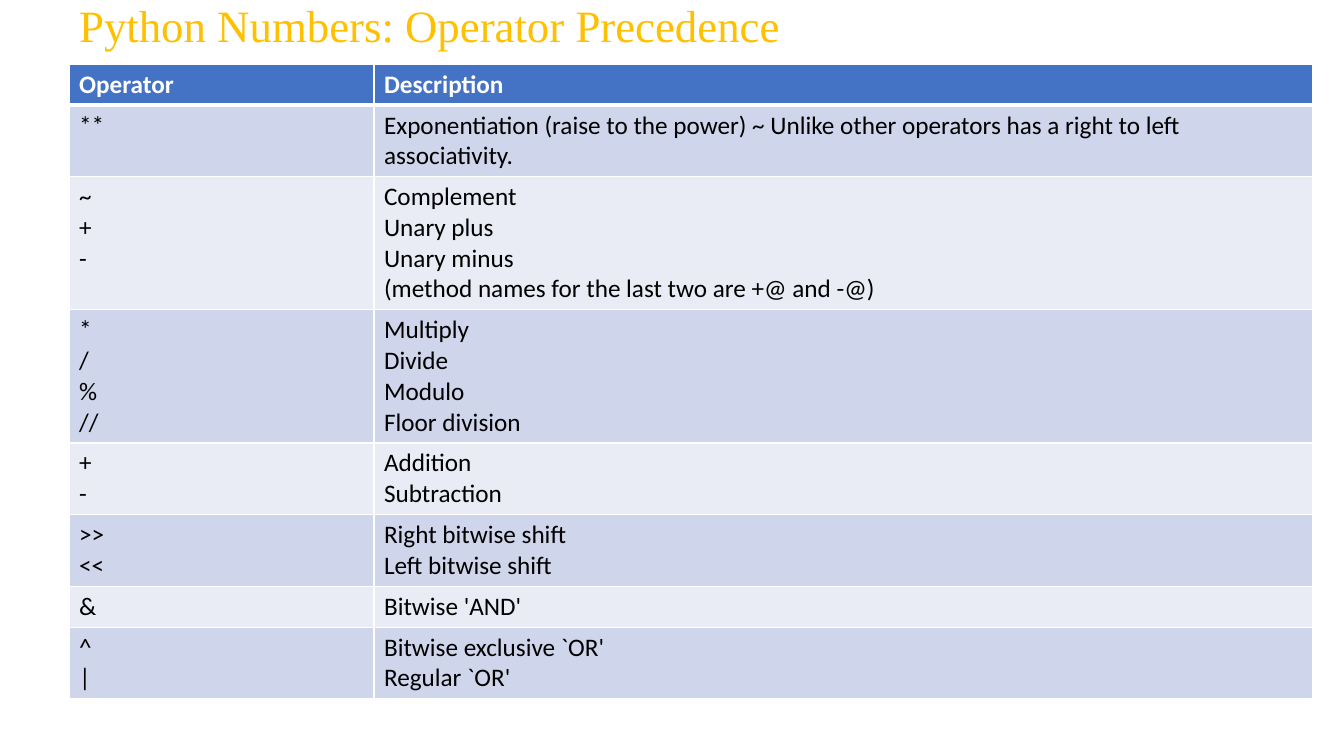
from pptx import Presentation
from pptx.dml.color import RGBColor
from pptx.enum.text import MSO_ANCHOR, MSO_AUTO_SIZE, PP_ALIGN
from pptx.oxml import parse_xml
from pptx.oxml.ns import nsdecls
from pptx.util import Pt

# Content: each row pairs the operator lines with the description lines
TITLE = "Python Numbers: Operator Precedence"
ROWS = [
    (["Operator"], ["Description"]),
    (["**"], ["Exponentiation (raise to the power) ~ Unlike other operators "
              "has a right to left associativity."]),
    (["~", "+", "-"], ["Complement", "Unary plus", "Unary minus",
                       "(method names for the last two are +@ and -@)"]),
    (["*", "/", "%", "//"], ["Multiply", "Divide", "Modulo", "Floor division"]),
    (["+", "-"], ["Addition", "Subtraction"]),
    ([">>", "<<"], ["Right bitwise shift", "Left bitwise shift"]),
    (["&"], ["Bitwise 'AND'"]),
    (["^", "|"], ["Bitwise exclusive `OR'", "Regular `OR'"]),
]

# Colours
GOLD = RGBColor(0xFF, 0xC0, 0x00)
WHITE = RGBColor(0xFF, 0xFF, 0xFF)
BLACK = RGBColor(0x00, 0x00, 0x00)
HEADER_BLUE = RGBColor(0x44, 0x72, 0xC4)
BANDS = [RGBColor(0xE9, 0xEB, 0xF5), RGBColor(0xCF, 0xD5, 0xEA)]

# Lengths in px
SLIDE_WIDTH, SLIDE_HEIGHT = 1344, 756
LEFT = 69
TITLE_TOP, TITLE_WIDTH, TITLE_HEIGHT = 5, 1072, 45
TABLE_TOP, ROW_HEIGHT = 64, 41
COLUMN_WIDTHS = [305, 939]


def px(length):
    return round(length * 914400 / 100.8)


def add_run(paragraph, text, font_name, size, color, bold=False):
    run = paragraph.add_run()
    run.text = text
    run.font.name = font_name
    run.font.size = Pt(size)
    run.font.bold = bold
    run.font.color.rgb = color


def add_borders(cell, top, bottom):
    properties = cell._tc.get_or_add_tcPr()
    for side, width in (("L", 1), ("R", 1), ("T", top), ("B", bottom)):
        properties.append(parse_xml(
            f'<a:ln{side} {nsdecls("a")} w="{Pt(width)}"><a:solidFill>'
            f'<a:srgbClr val="{WHITE}"/></a:solidFill></a:ln{side}>'))


def fill_cell(cell, lines, row):
    is_header = row == 0
    add_borders(cell, 3 if row == 1 else 1, 3 if is_header else 1)
    cell.fill.solid()
    cell.fill.fore_color.rgb = HEADER_BLUE if is_header else BANDS[row % 2]
    frame = cell.text_frame
    for index, line in enumerate(lines):
        paragraph = frame.add_paragraph() if index else frame.paragraphs[0]
        add_run(paragraph, line, "Calibri", 18,
                WHITE if is_header else BLACK, is_header)


def main():
    presentation = Presentation()
    presentation.slide_width = px(SLIDE_WIDTH)
    presentation.slide_height = px(SLIDE_HEIGHT)
    slide = presentation.slides.add_slide(presentation.slide_layouts[5])

    # Title
    title = slide.shapes.title
    title.left, title.top = px(LEFT), px(TITLE_TOP)
    title.width, title.height = px(TITLE_WIDTH), px(TITLE_HEIGHT)
    frame = title.text_frame
    frame.auto_size = MSO_AUTO_SIZE.NONE
    frame.vertical_anchor = MSO_ANCHOR.MIDDLE
    paragraph = frame.paragraphs[0]
    paragraph.alignment = PP_ALIGN.LEFT
    paragraph.line_spacing = 0.9
    add_run(paragraph, TITLE, "Times New Roman", 32, GOLD)

    # Operator table: rows grow with their text
    table = slide.shapes.add_table(
        len(ROWS), len(COLUMN_WIDTHS), px(LEFT), px(TABLE_TOP),
        px(sum(COLUMN_WIDTHS)), px(ROW_HEIGHT * len(ROWS))).table
    for column, width in zip(table.columns, COLUMN_WIDTHS):
        column.width = px(width)
    for row, cells in enumerate(ROWS):
        table.rows[row].height = px(ROW_HEIGHT)
        for column, lines in enumerate(cells):
            fill_cell(table.cell(row, column), lines, row)

    presentation.save("out.pptx")


if __name__ == "__main__":
    main()
